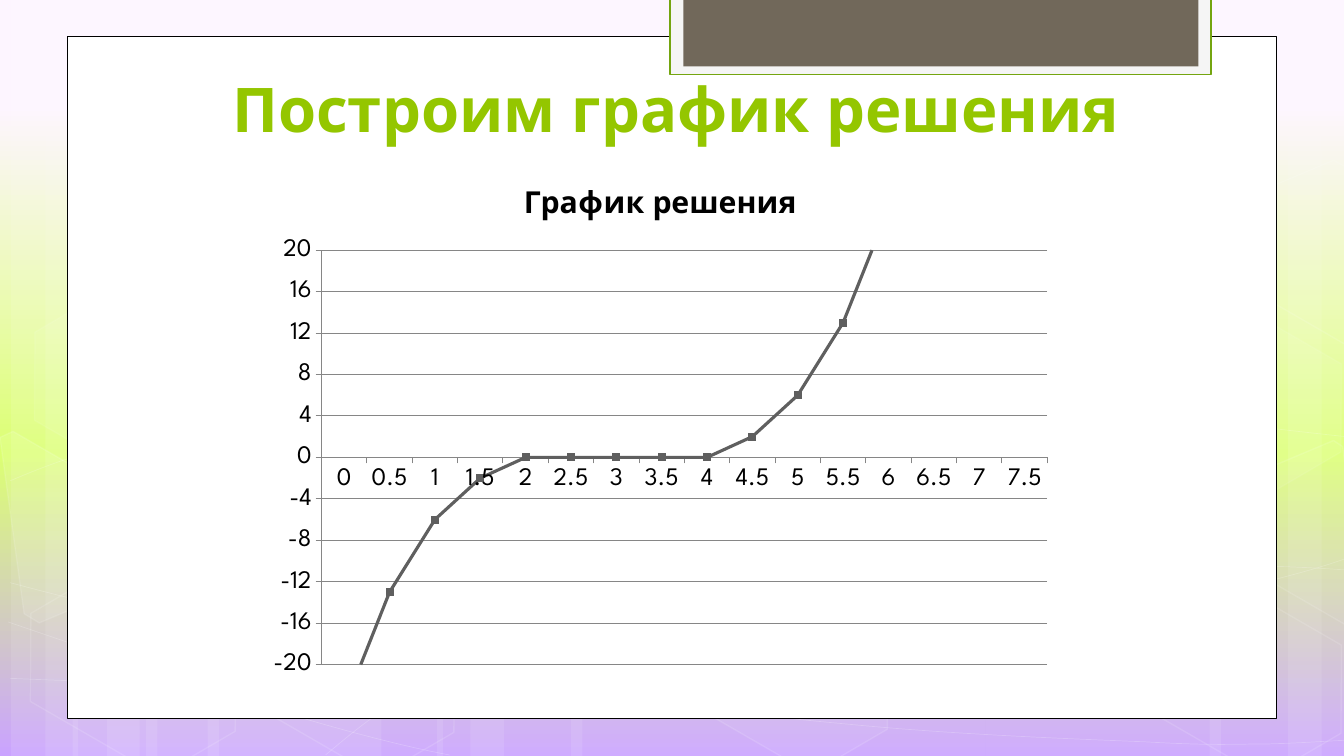
from dataclasses import dataclass

import lxml.etree
import pptx
import pptx.chart.data
import pptx.dml.color
import pptx.enum.chart
import pptx.enum.shapes
import pptx.enum.text
import pptx.oxml
import pptx.oxml.ns
import pptx.util

FONT = "League Spartan"
COLORS = {
    "white": "FFFFFF", "black": "000000", "title": "94C600", "tab": "F5F5F5",
    "tab_edge": "74A510", "tab_core": "71685A", "series": "5F5F5F", "grid": "868686",
    "sky": "FDF5FF", "lime": "DCFF73", "violet": "CAA3FF",
}
COLUMNS, ROWS = 80, 45
CELL = pptx.util.Inches(7.5) / ROWS
Point = tuple[float, float]


@dataclass
class Style:
    """Colours are keys of COLORS; opacities are percentages."""
    fill: str | None = None
    fill_opacity: int = 100
    line: str | None = None
    line_opacity: int = 100
    line_width: float = 1


@dataclass
class Block:
    left: float
    top: float
    width: float
    height: float
    style: Style


@dataclass
class Outline:
    points: list[Point]
    style: Style


GLASS = Style("white", 10)
HAIRLINE = Style(line="white", line_opacity=20, line_width=0.5)
HOLLOW = Style(line="white", line_opacity=12)
FAINT = Style("white", 7, "white", 8)

LEFT_BARS = [(8.7, 14), (0.66, 4), (2.7, 6.67)]
BARS = LEFT_BARS + [(left + 3.66, width) for left, width in LEFT_BARS] + [
    (58.67, 14), (76.67, 4), (72, 6.67), (34, 24.67), (26, 4), (28, 6.67)]

# Each wave is a start point followed by triples of cubic Bezier points.
WAVES = [Outline(points, HAIRLINE) for points in [
    [(0.6, 40.38), (4.92, 40.56), (9.24, 40.74), (15.24, 40.68), (21.24, 40.62),
     (28.62, 40.5), (36.6, 39.9), (44.64, 39.3), (55.98, 38.16), (63.3, 37.02),
     (70.68, 35.88), (78.18, 34.08), (80.58, 33.06)],
    [(0.6, 28.62), (2.88, 27.66), (5.16, 26.76), (9.72, 25.86), (14.28, 24.96),
     (20.7, 23.64), (27.78, 23.22), (34.92, 22.8), (43.5, 22.74), (52.32, 23.22),
     (61.14, 23.7), (75.78, 25.56), (80.58, 26.04)],
    [(0.48, 37.02), (10.14, 40.32), (19.8, 43.62), (26.76, 44.94)],
    [(0.6, 34.68), (3.06, 35.34), (5.58, 36), (10.26, 36.96), (14.88, 37.86),
     (21.84, 39.36), (28.5, 40.38), (35.16, 41.4), (43.62, 42.48), (50.22, 43.08),
     (56.88, 43.74), (63.96, 43.98), (68.22, 44.16), (72.42, 44.4), (73.5, 44.28),
     (75.6, 44.28), (77.64, 44.22), (79.14, 44.1), (80.58, 44.04)],
    [(19.38, 44.94), (20.82, 43.74), (22.2, 42.54), (24.18, 41.46), (26.1, 40.38),
     (28.8, 39.18), (31.02, 38.34), (33.24, 37.5), (34.62, 37.14), (37.56, 36.54),
     (40.5, 35.94), (45.9, 35.1), (48.66, 34.68), (51.48, 34.26), (51.9, 34.26),
     (54.42, 34.14), (56.88, 33.96), (60.78, 33.78), (63.54, 33.72), (66.3, 33.66),
     (70.92, 33.72), (70.92, 33.72), (73, 33.72), (74.5, 33.72), (76.2, 33.72),
     (77.7, 33.78), (79.02, 33.84), (80.46, 33.96)]]]
HEXAGONS = [Block(left, top, 14.04, 9.12, style) for left, top, style in [
    (26.7, 2.16, Style("white", 4, "white", 8)), (39.72, 35.34, Style("white", 6, "white", 12)),
    (0.9, 35.46, HOLLOW), (1.14, 18.72, FAINT), (13.92, 35.52, HOLLOW),
    (66.72, 35.58, HOLLOW), (66.72, 18.84, FAINT)]]
CUT_HEXAGONS = [
    Outline([(0, 26.04), (0.78, 25.68), (6.9, 29.22), (7.62, 34.86), (2.34, 37.08),
             (1.44, 36.54)], Style("white", 10, "white", 12)),
    Outline([(74.1, 28.44), (79.38, 26.22), (79.92, 26.58), (81.42, 37.5),
             (80.94, 37.68), (74.82, 34.14)], Style("white", 4, "white", 12)),
    Outline([(74.1, 11.76), (79.38, 9.54), (80.04, 9.9), (81.42, 20.76),
             (80.94, 21), (74.82, 17.46)], HOLLOW)]
PANELS = [
    Block(4, 2.16, 72, 40.6, Style("white", line="black", line_width=0.5)),
    Block(39.9, -0.12, 32.18, 4.56, Style("tab", line="tab_edge", line_width=1.25)),
    Block(40.68, -0.12, 30.66, 4.08, Style("tab_core"))]


def cells(*counts: float) -> list[int]:
    return [round(count * CELL) for count in counts]


def rgb(name: str) -> pptx.dml.color.RGBColor:
    return pptx.dml.color.RGBColor.from_string(COLORS[name])


def paint(fill, color: str | None, opacity: int, parent) -> None:
    """Fill solidly or not at all; parent is the XML element holding the fill."""
    if not color:
        fill.background()
        return
    fill.solid()
    fill.fore_color.rgb = rgb(color)
    if opacity < 100:
        node = parent.xpath("./a:solidFill/a:srgbClr")[0]
        lxml.etree.SubElement(node, pptx.oxml.ns.qn("a:alpha"), val=str(opacity * 1000))


def apply_style(shape, style: Style) -> None:
    shape.shadow.inherit = False
    shape.line.width = pptx.util.Pt(style.line_width)
    properties = shape._element.spPr
    paint(shape.fill, style.fill, style.fill_opacity, properties)
    paint(shape.line.fill, style.line, style.line_opacity, properties.ln)


def add_block(shapes, block: Block, kind=pptx.enum.shapes.MSO_SHAPE.RECTANGLE):
    shape = shapes.add_shape(kind, *cells(block.left, block.top, block.width, block.height))
    apply_style(shape, block.style)
    return shape


def add_outline(shapes, outline: Outline, close: bool):
    start, *rest = [tuple(cells(*point)) for point in outline.points]
    builder = shapes.build_freeform(*start)
    builder.add_line_segments(rest, close=close)
    shape = builder.convert_to_shape()
    apply_style(shape, outline.style)
    return shape


def add_wave(shapes, wave: Outline) -> None:
    """Draw an open outline, joining each three segments into a Bezier curve."""
    trace = add_outline(shapes, wave, close=False)._element.xpath(".//a:path")[0]
    segments = trace.xpath("./a:lnTo")
    for first in range(0, len(segments), 3):
        curve = lxml.etree.SubElement(trace, pptx.oxml.ns.qn("a:cubicBezTo"))
        for segment in segments[first:first + 3]:
            curve.append(segment[0])
            trace.remove(segment)


def add_background(page) -> None:
    fill = page.background.fill
    fill.gradient()
    fill.gradient_angle = 270
    stops = page._element.xpath(".//p:bgPr/a:gradFill/a:gsLst")[0]
    for stop in list(stops):
        stops.remove(stop)
    for position, color in [(14, "sky"), (60, "lime"), (100, "violet")]:
        stop = lxml.etree.SubElement(stops, pptx.oxml.ns.qn("a:gs"), pos=str(position * 1000))
        lxml.etree.SubElement(stop, pptx.oxml.ns.qn("a:srgbClr"), val=COLORS[color])


def add_backdrop(page) -> None:
    shapes = page.shapes.add_group_shape().shapes
    for left, width in BARS:
        add_block(shapes, Block(left, 0, width, ROWS, GLASS))
    for wave in WAVES:
        add_wave(shapes, wave)
    for hexagon in HEXAGONS:
        shape = add_block(shapes, hexagon, pptx.enum.shapes.MSO_SHAPE.HEXAGON)
        shape.adjustments[0] = 0.285
        shape.rotation = 30
    for cut in CUT_HEXAGONS:
        add_outline(shapes, cut, close=True)


def set_font(font, size: float, color: str, bold: bool = False) -> None:
    font.name, font.size, font.bold = FONT, pptx.util.Pt(size), bold
    font.color.rgb = rgb(color)


def add_title(page) -> None:
    box = page.shapes.add_textbox(*cells(4.26, 3.24, 72, 5.7))
    box.text_frame.word_wrap = True
    box.text_frame.vertical_anchor = pptx.enum.text.MSO_ANCHOR.BOTTOM
    para = box.text_frame.paragraphs[0]
    para.text = "Построим график решения"
    para.alignment = pptx.enum.text.PP_ALIGN.CENTER
    set_font(para.font, 44, "title", bold=True)


def place_plot(chart, **shares: float) -> None:
    """Set the inner plot area as shares of the chart's size."""
    area = chart._chartSpace.xpath(".//c:plotArea")[0]
    for old in area.xpath("./c:layout"):
        area.remove(old)
    parts = {"layoutTarget": "inner", "xMode": "edge", "yMode": "edge", **shares}
    inside = "".join(f'<c:{tag} val="{value}"/>' for tag, value in parts.items())
    area.insert(0, pptx.oxml.parse_xml(f'<c:layout {pptx.oxml.ns.nsdecls("c")}>'
                                       f"<c:manualLayout>{inside}</c:manualLayout></c:layout>"))


def add_solution_chart(page) -> None:
    steps = [step / 2 for step in range(16)]
    data = pptx.chart.data.CategoryChartData()
    data.categories = [f"{x:g}" for x in steps]
    data.add_series("Series 1", [round((x - 2) * (x - 3) * (x - 4)) for x in steps])
    kind = pptx.enum.chart.XL_CHART_TYPE.LINE_MARKERS
    chart = page.shapes.add_chart(kind, *cells(15.3, 9.96, 48, 30.84), data).chart
    set_font(chart.font, 18, "black")
    chart.has_legend = False
    heading = chart.chart_title.text_frame.paragraphs[0]
    heading.text = "График решения"
    set_font(heading.font, 21.6, "black", bold=True)
    values, categories = chart.value_axis, chart.category_axis
    values.minimum_scale, values.maximum_scale, values.major_unit = -20, 20, 4
    for axis in (values, categories):
        axis.major_tick_mark = pptx.enum.chart.XL_TICK_MARK.OUTSIDE
    for part in (values, values.major_gridlines, categories):
        part.format.line.color.rgb = rgb("grid")
        part.format.line.width = pptx.util.Pt(0.75)
    chart.plots[0].vary_by_categories = False
    series = chart.plots[0].series[0]
    series.smooth = False
    series.format.line.width = pptx.util.Pt(2.25)
    series.marker.style = pptx.enum.chart.XL_MARKER_STYLE.SQUARE
    series.marker.size = 5
    for fill in (series.format.line.fill, series.marker.format.fill,
                 series.marker.format.line.fill):
        paint(fill, "series", 100, None)
    place_plot(chart, x=0.08, y=0.16, w=0.9, h=0.8)


def main() -> None:
    deck = pptx.Presentation()
    deck.slide_width, deck.slide_height = cells(COLUMNS, ROWS)
    page = deck.slides.add_slide(deck.slide_layouts[6])
    add_background(page)
    add_backdrop(page)
    for panel in PANELS:
        add_block(page.shapes, panel)
    add_title(page)
    add_solution_chart(page)
    deck.save("out.pptx")


if __name__ == "__main__":
    main()
